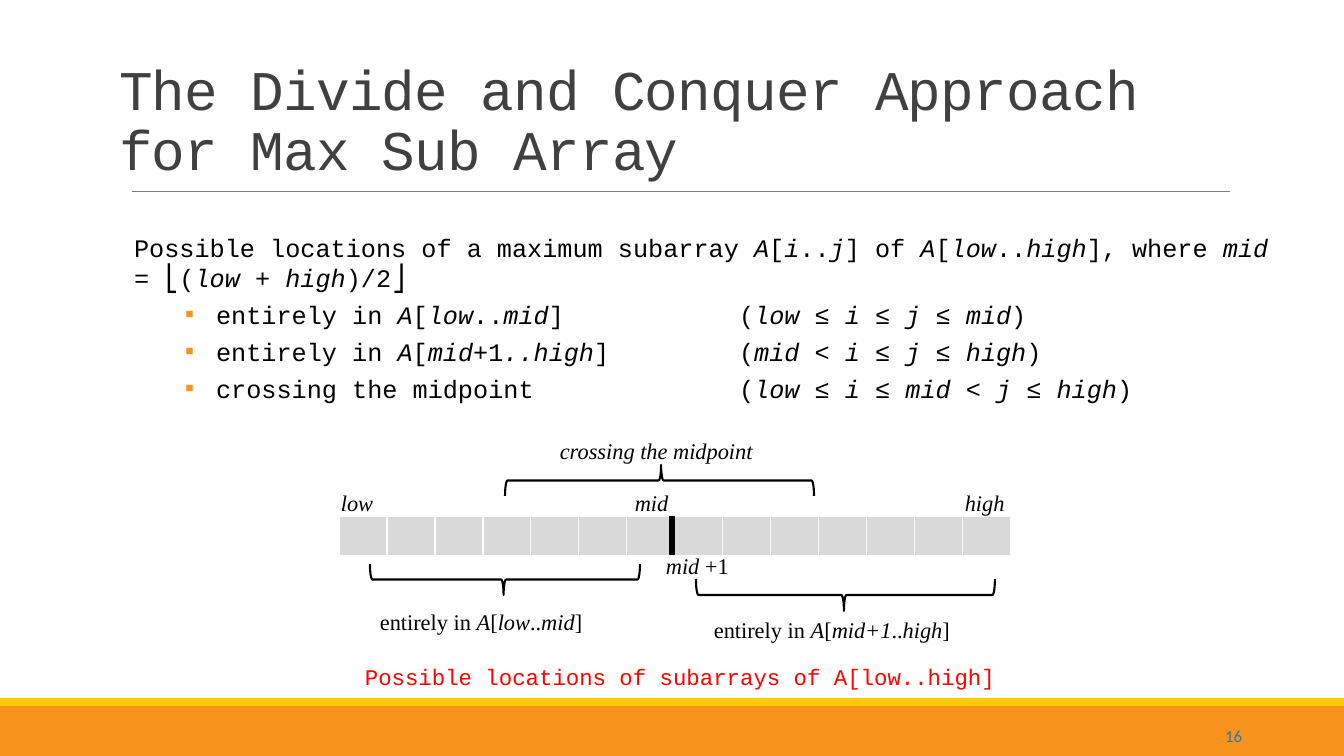
from dataclasses import dataclass

from lxml.etree import SubElement
from pptx import Presentation
from pptx.dml.color import RGBColor
from pptx.enum.shapes import MSO_CONNECTOR, MSO_SHAPE
from pptx.enum.text import MSO_ANCHOR, MSO_AUTO_SIZE, PP_ALIGN
from pptx.oxml.ns import qn
from pptx.util import Pt

# Text between asterisks is italic.
TITLE = "The Divide and Conquer Approach for Max Sub Array"
INTRO = ("Possible locations of a maximum subarray *A*[*i*..*j*] of "
         "*A*[*low*..*high*], where *mid* = ⎣(*low* + *high*)/2⎦")
CASES = [
    "entirely in *A*[*low*..*mid*]\t(*low* ≤ *i* ≤ *j* ≤ *mid*)",
    "entirely in *A*[*mid*+1*..high*]\t(*mid* < *i* ≤ *j* ≤ *high*)",
    "crossing the midpoint\t(*low* ≤ *i* ≤ *mid* < *j* ≤ *high*)",
]
LABELS = [  # text, left, top, width
    ("*low*", 331, 484, 80),
    ("*mid*", 625, 484, 80),
    ("*high*", 955, 484, 80),
    ("*mid* +1", 656, 547, 119),
    ("entirely in *A*[*low*..*mid*]", 370, 603, 251),
    ("entirely in *A*[*mid+1*..*high*]", 704, 611, 289),
    ("*crossing the midpoint*", 550, 432, 254),
]
CAPTION = "Possible locations of subarrays of A[low..high]"
BRACES = [  # left, top, span, depth, turn
    (505, 465, 309, 31, 90),
    (370, 564, 270, 31, 270),
    (696, 579, 299, 32, 270),
]
CELLS, CELL_W, CELL_H = 14, 48, 41
ROW_X, ROW_Y = 339, 516


@dataclass(frozen=True)
class Theme:
    code: str = "Courier New"
    serif: str = "Times New Roman"
    sans: str = "Calibri"
    ink: str = "000000"
    head: str = "404040"
    rule: str = "808080"
    orange: str = "F8931D"
    gold: str = "FFCA08"
    cell: str = "D9D9D9"
    white: str = "FFFFFF"
    red: str = "FF0000"
    page: str = "2E75B5"
    big: int = 40
    body: int = 18
    label: int = 16
    small: int = 12


T = Theme()


def px(n):
    return round(n * 914400 / 100.8)


def rgb(code):
    return RGBColor.from_string(code)


def write(para, text, font=T.serif, size=T.label, color=T.ink, align=PP_ALIGN.LEFT,
          left=0, hang=0, bullet=None, tab=None, before=0, lines=1.0, track=0):
    props = para._p.get_or_add_pPr()
    props.set("marL", str(px(left)))
    props.set("indent", str(px(-hang)))
    if bullet:
        tint = SubElement(props, qn("a:buClr"))
        SubElement(tint, qn("a:srgbClr"), val=T.orange)
        SubElement(props, qn("a:buFont"), typeface=T.sans)
        SubElement(props, qn("a:buChar"), char=bullet)
    else:
        SubElement(props, qn("a:buNone"))
    if tab:
        stops = SubElement(props, qn("a:tabLst"))
        SubElement(stops, qn("a:tab"), pos=str(px(tab)), algn="l")
    para.alignment = align
    para.space_before = Pt(before)
    para.line_spacing = lines
    for i, part in enumerate(text.split("*")):
        if part:
            run = para.add_run()
            run.text = part
            run.font.name, run.font.size = font, Pt(size)
            run.font.color.rgb = rgb(color)
            run.font.italic = i % 2 == 1
            if track:
                run._r.get_or_add_rPr().set("spc", str(track))


def place(shape, x, y, w, h):
    shape.left, shape.top, shape.width, shape.height = map(px, (x, y, w, h))


def label(text, x, y, w, h=37, anchor=MSO_ANCHOR.TOP, **style):
    frame = slide.shapes.add_textbox(*map(px, (x, y, w, h))).text_frame
    frame.word_wrap = True
    frame.vertical_anchor = anchor
    write(frame.paragraphs[0], text, **style)


def bar(y, h, color):
    shape = slide.shapes.add_shape(MSO_SHAPE.RECTANGLE, 0, px(y), px(1344), px(h))
    shape.shadow.inherit = False
    shape.fill.solid()
    shape.fill.fore_color.rgb = rgb(color)
    shape.line.fill.background()


def rule(x1, y1, x2, y2, color, width):
    line = slide.shapes.add_connector(MSO_CONNECTOR.STRAIGHT, *map(px, (x1, y1, x2, y2)))
    line.line.color.rgb = rgb(color)
    line.line.width = Pt(width)
    SubElement(line._element.spPr, qn("a:effectLst"))


def brace(x, y, span, depth, turn):
    """Lay an upright brace on its side so that it fills span by depth."""
    shift = (span - depth) / 2
    shape = slide.shapes.add_shape(MSO_SHAPE.LEFT_BRACE,
                                   *map(px, (x + shift, y - shift, depth, span)))
    shape.rotation = turn
    shape.adjustments[0], shape.adjustments[1] = 0.08, 0.495
    shape.shadow.inherit = False
    shape.fill.background()
    shape.line.color.rgb = rgb(T.ink)
    shape.line.width = Pt(1.5)


def edge(cell):
    props = cell._tc.get_or_add_tcPr()
    for i, (side, width) in enumerate({"L": 1, "R": 1, "T": 1, "B": 3}.items()):
        line = props.makeelement(qn("a:ln" + side), {"w": str(Pt(width))})
        fill = SubElement(line, qn("a:solidFill"))
        SubElement(fill, qn("a:srgbClr"), val=T.white)
        props.insert(i, line)


deck = Presentation()
deck.slide_width, deck.slide_height = px(1344), px(756)
slide = deck.slides.add_slide(deck.slide_layouts[1])

bar(706, 50, T.orange)
bar(698, 8, T.gold)
rule(132, 191, 1230, 191, T.rule, 0.5)

title, body = slide.shapes.title, slide.placeholders[1]
place(title, 109, 50, 1159, 145)
place(body, 124, 227, 1159, 284)
for holder, anchor in ((title, MSO_ANCHOR.MIDDLE), (body, MSO_ANCHOR.TOP)):
    holder.text_frame.auto_size = MSO_AUTO_SIZE.NONE
    holder.text_frame.vertical_anchor = anchor
write(title.text_frame.paragraphs[0], TITLE, font=T.code, size=T.big,
      color=T.head, lines=0.9, track=-50)
write(body.text_frame.paragraphs[0], INTRO, font=T.code, size=T.body)
for case in CASES:
    para = body.text_frame.add_paragraph()
    para.level = 1
    write(para, case, font=T.code, size=T.body, left=82, hang=31,
          bullet="▪", tab=605, before=4.8)

grid = slide.shapes.add_table(1, CELLS, *map(px, (ROW_X, ROW_Y, CELLS * CELL_W, CELL_H))).table
for col in grid.columns:
    col.width = px(CELL_W)
for cell in grid.iter_cells():
    cell.fill.solid()
    cell.fill.fore_color.rgb = rgb(T.cell)
    edge(cell)

middle = ROW_X + CELLS * CELL_W // 2 - 3
rule(middle, ROW_Y, middle, ROW_Y + 39, T.ink, 4.5)
for item in LABELS:
    label(*item)
for item in BRACES:
    brace(*item)
label(CAPTION, 355, 658, 672, font=T.code, color=T.red)
label("16", 950, 716, 302, 40, anchor=MSO_ANCHOR.MIDDLE, font=T.sans,
      size=T.small, color=T.page, align=PP_ALIGN.RIGHT)

deck.save("out.pptx")
